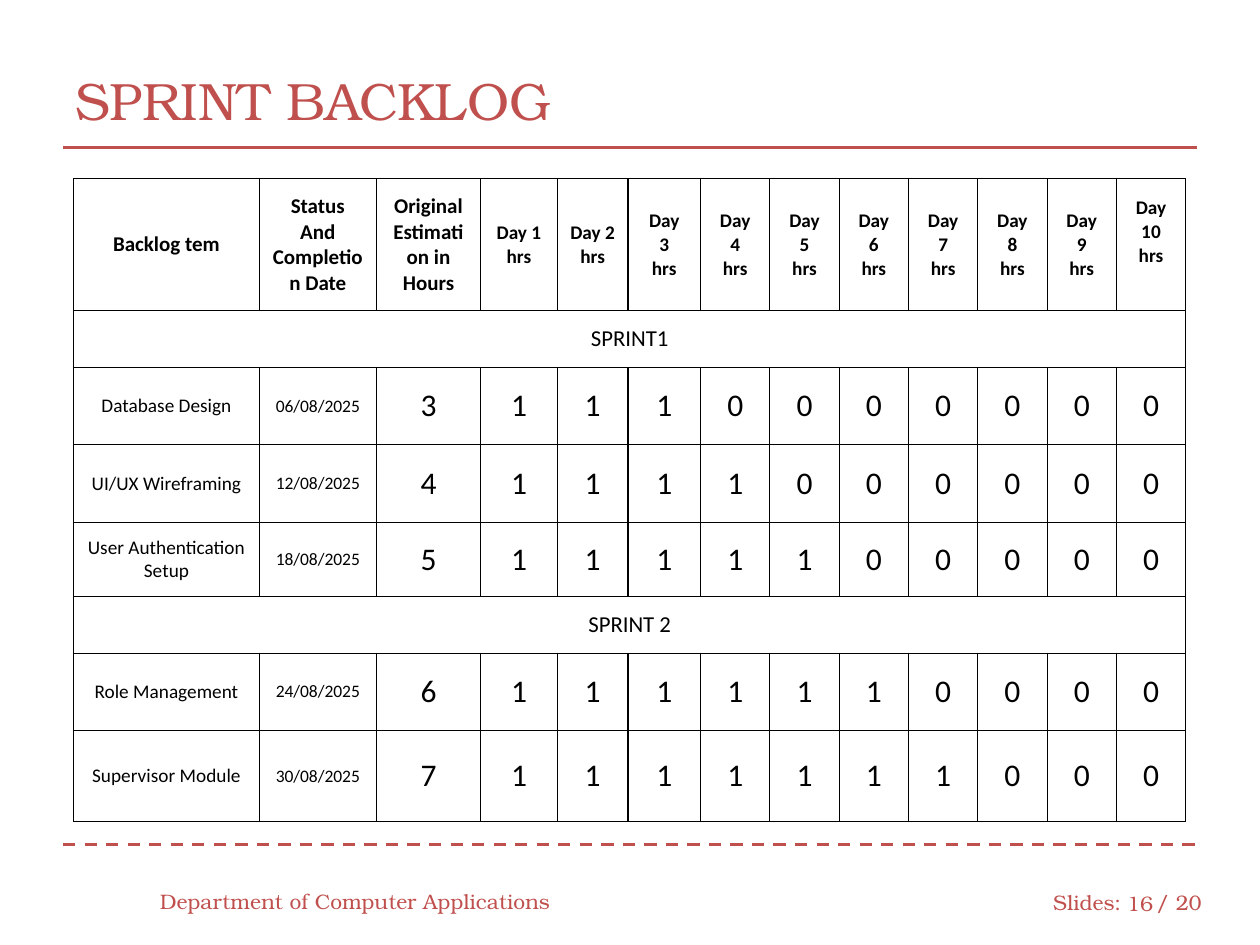
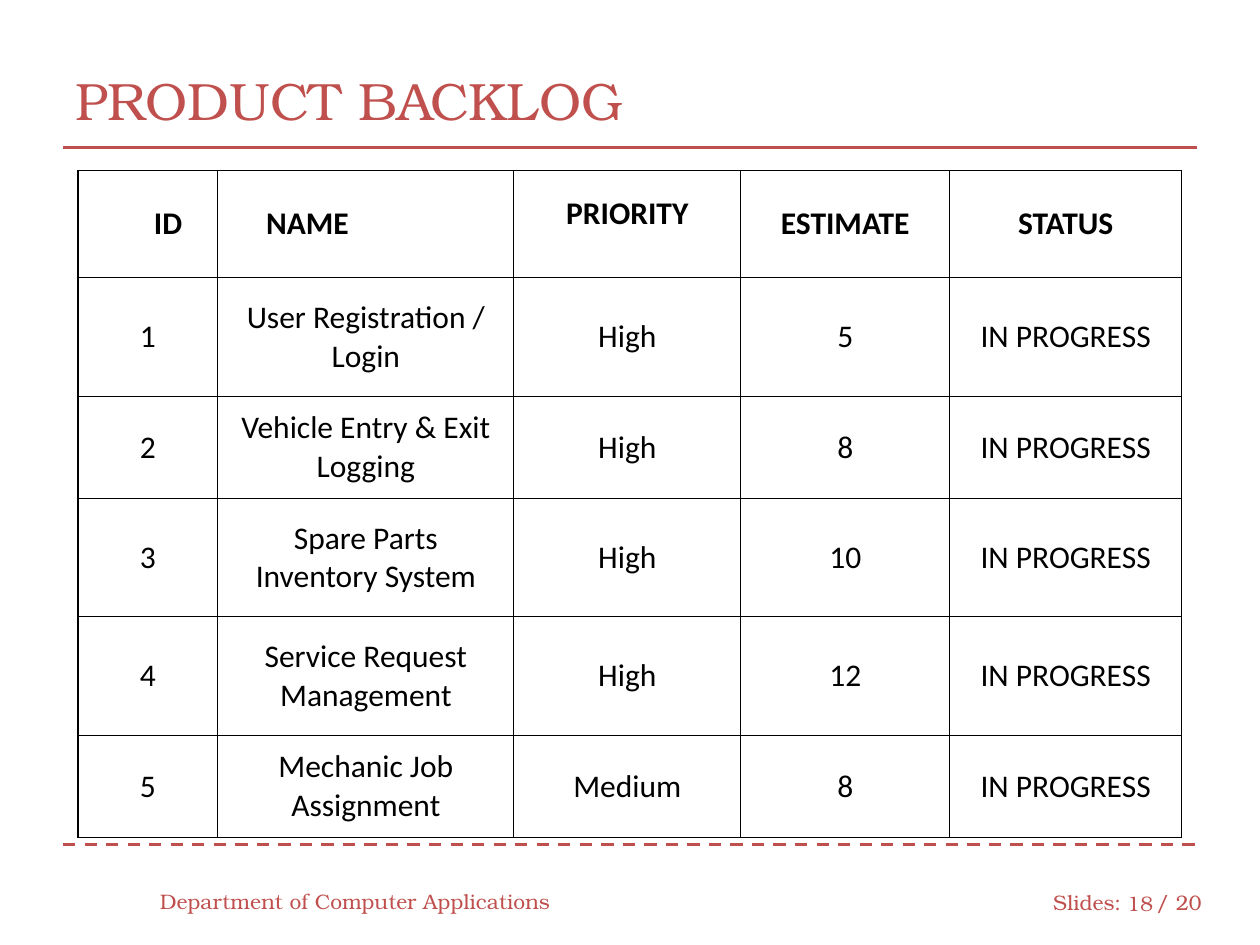
from dataclasses import dataclass

from lxml import etree
from pptx import Presentation
from pptx.dml.color import RGBColor
from pptx.enum.dml import MSO_LINE
from pptx.enum.shapes import MSO_CONNECTOR
from pptx.enum.text import MSO_ANCHOR, PP_ALIGN
from pptx.oxml.ns import qn
from pptx.util import Pt

LEFT, CENTER, RIGHT = PP_ALIGN.LEFT, PP_ALIGN.CENTER, PP_ALIGN.RIGHT
MIDDLE = MSO_ANCHOR.MIDDLE
STRAIGHT = MSO_CONNECTOR.STRAIGHT
DASH = MSO_LINE.DASH


@dataclass(frozen=True)
class Theme:
    accent: str = "C0504D"
    ink: str = "000000"
    paper: str = "FFFFFF"
    heading_font: str = "TeX Gyre Bonum"
    table_font: str = "Calibri"
    title: float = 30
    footer: float = 12
    header: float = 12
    day: float = 11
    sprint: float = 13
    item: float = 11
    date: float = 10
    figure: float = 18
    rule: float = 1.75
    border: float = 0.75
    inset: float = 7.2


class Deck:
    """Holds the theme and the current slide, and draws on that slide."""

    def __init__(self, theme):
        self.theme = theme
        self.prs = Presentation()
        self.prs.slide_width, self.prs.slide_height = Pt(720), Pt(540)
        self.slide = None

    def new_slide(self, title, number):
        theme = self.theme
        self.slide = self.prs.slides.add_slide(self.prs.slide_layouts[6])
        self.rule(84.25)
        self.rule(482.4, DASH)
        self.text(title, 36, 23.75, 648, 66.25, theme.title)
        for words, left, top, width, align in (
            ("Department of Computer Applications", 84.25, 500.4, 240, LEFT),
            ("Slides:", 594.75, 501.1, 54, LEFT),
            (str(number), 635.75, 501.8, 30.25, RIGHT),
            ("/ 20", 653.75, 501.1, 41.75, LEFT),
        ):
            self.text(words, left, top, width, 28.8, theme.footer, align)

    def rule(self, y, dash=None):
        line = self.slide.shapes.add_connector(STRAIGHT, Pt(36), Pt(y), Pt(684), Pt(y))
        line.line.color.rgb = RGBColor.from_string(self.theme.accent)
        line.line.width = Pt(self.theme.rule)
        if dash:
            line.line.dash_style = dash
        etree.SubElement(line._element.spPr, qn("a:effectLst"))

    def text(self, words, left, top, width, height, size, align=LEFT):
        box = self.slide.shapes.add_textbox(Pt(left), Pt(top), Pt(width), Pt(height))
        frame = box.text_frame
        frame.word_wrap = True
        frame.vertical_anchor = MIDDLE
        frame.text = words
        theme = self.theme
        self.style(frame, theme.heading_font, size, theme.accent, align)

    def style(self, frame, font, size, color, align, bold=False):
        for paragraph in frame.paragraphs:
            paragraph.alignment = align
            paragraph.font.name = font
            paragraph.font.size = Pt(size)
            paragraph.font.bold = bold
            paragraph.font.color.rgb = RGBColor.from_string(color)

    def table(self, left, top, widths, heights):
        """Adds an empty white grid with thin borders."""
        table = self.slide.shapes.add_table(
            len(heights), len(widths), Pt(left), Pt(top), Pt(sum(widths)), Pt(sum(heights))
        ).table
        table.first_row = table.horz_banding = False
        for column, width in zip(table.columns, widths):
            column.width = Pt(width)
        for row, height in zip(table.rows, heights):
            row.height = Pt(height)
        for cell in table.iter_cells():
            self.borders(cell)
            cell.fill.solid()
            cell.fill.fore_color.rgb = RGBColor.from_string(self.theme.paper)
        return table

    def borders(self, cell):
        properties = cell._tc.get_or_add_tcPr()
        for side in ("a:lnL", "a:lnR", "a:lnT", "a:lnB"):
            line = etree.SubElement(properties, qn(side), w=str(Pt(self.theme.border)))
            fill = etree.SubElement(line, qn("a:solidFill"))
            etree.SubElement(fill, qn("a:srgbClr"), val=self.theme.ink)

    def cell(self, cell, words, size, bold=False, align=CENTER, indent=0, lift=0):
        """Fills a cell; indent and lift widen its left and bottom margins."""
        theme = self.theme
        cell.vertical_anchor = MIDDLE
        cell.margin_top = cell.margin_right = Pt(theme.inset)
        cell.margin_left = Pt(theme.inset + indent)
        cell.margin_bottom = Pt(theme.inset + lift)
        cell.text_frame.text = str(words)
        self.style(cell.text_frame, theme.table_font, size, theme.ink, align, bold)


DAYS = 10
SPRINTS = (
    ("SPRINT1", (
        ("Database Design", "06/08/2025", 3),
        ("UI/UX Wireframing", "12/08/2025", 4),
        ("User Authentication Setup", "18/08/2025", 5),
    )),
    ("SPRINT 2", (
        ("Role Management", "24/08/2025", 6),
        ("Supervisor Module", "30/08/2025", 7),
    )),
)
PRODUCT_ITEMS = (
    ("User Registration / Login", "High", 5),
    ("Vehicle Entry & Exit Logging", "High", 8),
    ("Spare Parts Inventory System", "High", 10),
    ("Service Request Management", "High", 12),
    ("Mechanic Job Assignment", "Medium", 8),
)


def sprint_backlog(deck):
    theme = deck.theme
    deck.new_slide("SPRINT BACKLOG", 16)
    widths = [106.25, 66.75, 59.75, 43.75, 40.4, 41.5] + [39.6] * 7
    heights = [75.4, 32.4, 44.2, 44.2, 42.5, 32.4, 44.2, 52.2]
    table = deck.table(42, 102.2, widths, heights)

    headings = ("Backlog tem", "Status And Completion Date", "Original Estimation in Hours")
    for column, heading in enumerate(headings):
        deck.cell(table.cell(0, column), heading, theme.header, bold=True)
    for day in range(1, DAYS + 1):
        gap = "\n" if day in (3, 4, 5) else " "
        deck.cell(table.cell(0, day + 2), f"Day{gap}{day}\nhrs", theme.day,
                  bold=True, lift=15 if day == DAYS else 0)

    sizes = [theme.item, theme.date] + [theme.figure] * (DAYS + 1)
    row = 1
    for sprint, items in SPRINTS:
        table.cell(row, 0).merge(table.cell(row, len(widths) - 1))
        deck.cell(table.cell(row, 0), sprint, theme.sprint)
        for row, (item, date, estimate) in enumerate(items, row + 1):
            # One hour is spent each day until the estimate is used up.
            hours = [int(day < estimate) for day in range(DAYS)]
            for column, value in enumerate([item, date, estimate, *hours]):
                deck.cell(table.cell(row, column), value, sizes[column])
        row += 1


def product_backlog(deck):
    size = deck.theme.figure
    deck.new_slide("PRODUCT BACKLOG", 18)
    table = deck.table(44.6, 97.4, [79.9, 169.2, 129.6, 119.5, 132.5],
                       [61.4, 67.7, 58.3, 67.7, 67.7, 58.3])
    headings = (
        ("ID", {"align": LEFT, "indent": 36.2}),
        ("NAME", {"align": LEFT, "indent": 20.4}),
        ("PRIORITY", {"lift": 12}),
        ("ESTIMATE", {}),
        ("STATUS", {}),
    )
    for column, (heading, placing) in enumerate(headings):
        deck.cell(table.cell(0, column), heading, size, bold=True, **placing)
    for number, item in enumerate(PRODUCT_ITEMS, 1):
        for column, value in enumerate((number, *item, "IN PROGRESS")):
            deck.cell(table.cell(number, column), value, size)


def main():
    deck = Deck(Theme())
    sprint_backlog(deck)
    product_backlog(deck)
    deck.prs.save("out.pptx")


if __name__ == "__main__":
    main()
